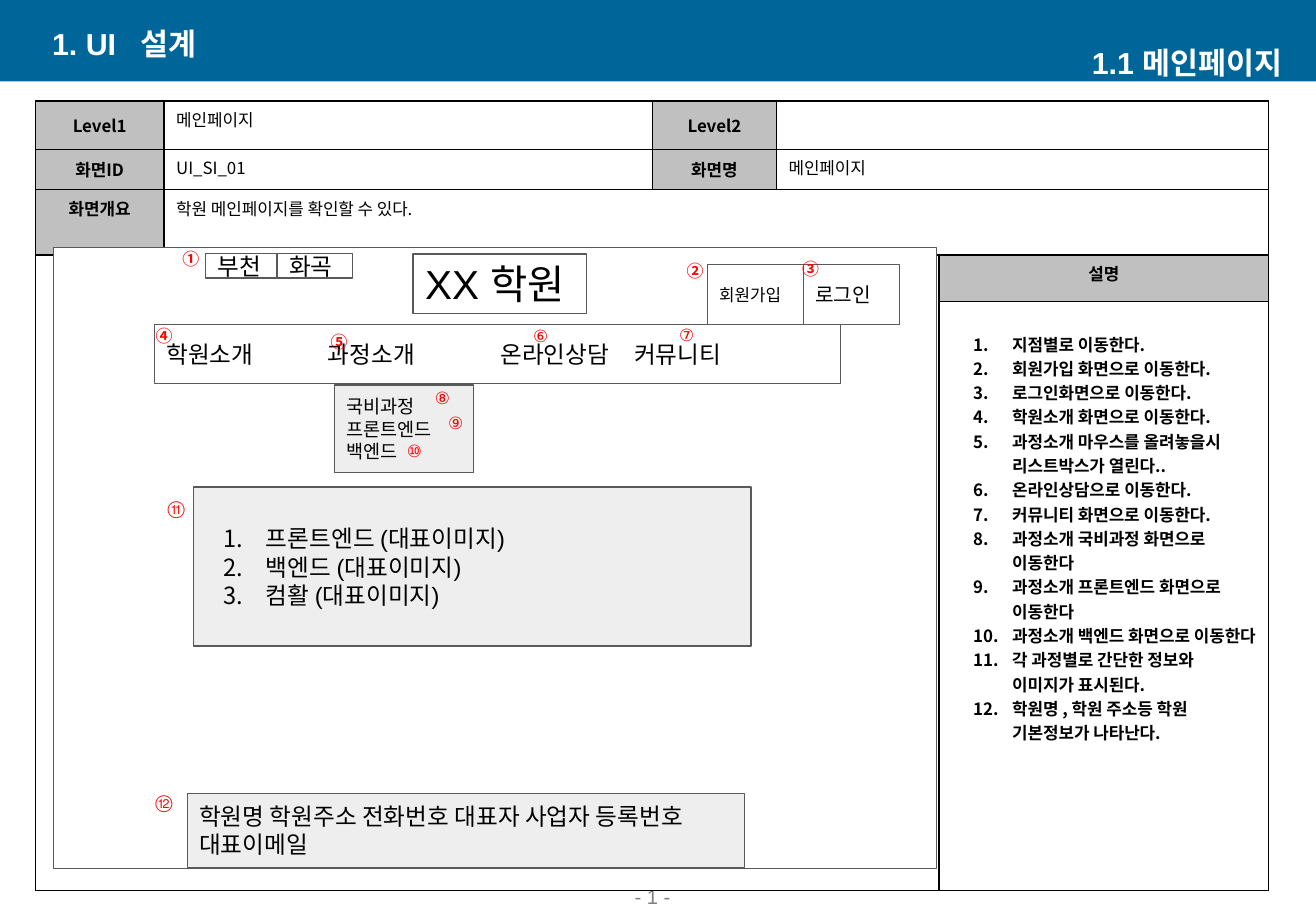
from lxml import etree
from pptx import Presentation, util as u
from pptx.dml.color import RGBColor
from pptx.enum import shapes, text
from pptx.oxml.ns import qn

BLUE = RGBColor(0x00, 0x66, 0x99)
WHITE = RGBColor(0xFF, 0xFF, 0xFF)
BLACK = RGBColor(0, 0, 0)
RED = RGBColor(0xFF, 0, 0)
GRAY = RGBColor(0x80, 0x80, 0x80)
HEAD_GRAY = RGBColor(0xC0, 0xC0, 0xC0)
PANEL_GRAY = RGBColor(0xEE, 0xEE, 0xEE)
OUTLINE = RGBColor(0x59, 0x59, 0x59)
ARIAL, NOTO = "Arial", "Noto Sans CJK KR"
LEFT, CENTER, RIGHT = (text.PP_ALIGN.LEFT, text.PP_ALIGN.CENTER, text.PP_ALIGN.RIGHT)
TOP, MIDDLE, BOTTOM = (text.MSO_ANCHOR.TOP, text.MSO_ANCHOR.MIDDLE,
                       text.MSO_ANCHOR.BOTTOM)

COLUMNS = [1.06, 4.02, 1.02, 1.34, 2.71]
ROWS = [0.38, 0.33, 0.54, 0.38, 4.85]
MERGES = [(0, 3, 0, 4), (1, 3, 1, 4), (2, 1, 2, 4), (3, 0, 4, 3)]
# row, column, words, anchor
HEADINGS = [(0, 0, "Level1", MIDDLE), (0, 2, "Level2", MIDDLE),
            (1, 0, "화면ID", MIDDLE), (1, 2, "화면명", MIDDLE),
            (2, 0, "화면개요", TOP), (3, 4, "설명", TOP)]
VALUES = [(0, 1, "메인페이지"), (1, 1, "UI_SI_01"), (1, 3, "메인페이지"),
          (2, 1, "학원 메인페이지를 확인할 수 있다.")]
DESCRIPTIONS = [
    "지점별로 이동한다.",
    "회원가입 화면으로 이동한다.",
    "로그인화면으로 이동한다.",
    "학원소개 화면으로 이동한다.",
    "과정소개 마우스를 올려놓을시 리스트박스가 열린다..",
    "온라인상담으로 이동한다.",
    "커뮤니티 화면으로 이동한다.",
    "과정소개 국비과정 화면으로 이동한다",
    "과정소개 프론트엔드 화면으로 이동한다",
    "과정소개 백엔드 화면으로 이동한다",
    "각 과정별로 간단한 정보와 이미지가 표시된다.",
    "학원명 , 학원 주소등 학원 기본정보가 나타난다.",
]
COURSES = ["프론트엔드 (대표이미지)", "백엔드 (대표이미지)", "컴활 (대표이미지)"]

# left, top, width, height, fill, lines, text format
PANELS = [
    (0.44, 2.04, 7.27, 5.11, WHITE, [], {}),
    (3.4, 2.09, 1.43, 0.49, WHITE, ["XX 학원"], dict(size=24)),
    (1.27, 2.67, 5.65, 0.49, WHITE, ["학원소개\t과정소개\t온라인상담\t커뮤니티"],
     dict(size=14, tabs=(1.33, 2.75, 3.85))),
    (5.82, 2.18, 0.79, 0.49, WHITE, ["회원가입"], dict(size=10)),
    (6.61, 2.18, 0.79, 0.49, WHITE, ["로그인"], dict(size=12)),
    (2.75, 3.17, 1.15, 0.72, PANEL_GRAY, ["국비과정", "프론트엔드", "백엔드"],
     dict(size=11)),
    (1.69, 2.09, 0.62, 0.2, WHITE, ["부천"], dict(size=14)),
    (2.28, 2.09, 0.62, 0.2, WHITE, ["화곡"], dict(size=14)),
    (1.59, 4.01, 4.59, 1.31, PANEL_GRAY, COURSES, dict(size=14, hanging=0.35)),
    (1.54, 6.53, 4.59, 0.61, PANEL_GRAY,
     ["학원명 학원주소 전화번호 대표자 사업자 등록번호 대표이메일"], dict(size=14)),
]
# sign, left, top, inset, bold
MARKERS = [
    ("①", 1.4, 1.96, 0.1, True), ("②", 5.55, 2.1, 0.05, True),
    ("③", 6.5, 2.08, 0.05, True), ("④", 1.18, 2.63, 0.05, True),
    ("⑤", 2.62, 2.68, 0.05, True), ("⑥", 4.28, 2.6, 0.1, False),
    ("⑦", 5.48, 2.59, 0.1, False), ("⑧", 3.47, 3.11, 0.1, False),
    ("⑨", 3.58, 3.31, 0.1, False), ("⑩", 3.24, 3.54, 0.1, False),
    ("⑪", 1.28, 4.01, 0.1, False), ("⑫", 1.18, 6.43, 0.1, False),
]


def write(frame, lines, size=10, font=ARIAL, color=BLACK, bold=False,
          align=LEFT, hanging=None, tabs=()):
    """Fill a text frame; hanging numbers the lines, tabs are stops in inches."""
    for index, line in enumerate(lines):
        para = frame.paragraphs[0] if index == 0 else frame.add_paragraph()
        para.alignment = align
        properties = para._p.get_or_add_pPr()
        if hanging:
            properties.set("marL", str(u.Inches(0.5)))
            properties.set("indent", str(-u.Inches(hanging)))
            tint = etree.SubElement(properties, qn("a:buClr"))
            etree.SubElement(tint, qn("a:srgbClr"), val=str(color))
            etree.SubElement(properties, qn("a:buAutoNum"), type="arabicPeriod")
        if tabs:
            stops = etree.SubElement(properties, qn("a:tabLst"))
            for stop in tabs:
                etree.SubElement(stops, qn("a:tab"), pos=str(u.Inches(stop)), algn="l")
        span = para.add_run()
        span.text = line
        span.font.size = u.Pt(size)
        span.font.name = font
        span.font.bold = bold
        span.font.color.rgb = color
        etree.SubElement(span._r.get_or_add_rPr(), qn("a:ea"), typeface=NOTO)


def set_frame(frame, inset, anchor):
    frame.word_wrap = True
    frame.vertical_anchor = anchor
    frame.margin_top = frame.margin_bottom = u.Inches(inset)
    frame.margin_left = frame.margin_right = u.Inches(0.1)


def add_label(page, left, top, width, height, line, inset=0.05, anchor=MIDDLE,
              **style):
    box = page.shapes.add_textbox(*map(u.Inches, (left, top, width, height)))
    set_frame(box.text_frame, inset, anchor)
    write(box.text_frame, [line], **style)


def add_panel(page, left, top, width, height, fill, lines=(), outline=OUTLINE,
              **style):
    box = page.shapes.add_shape(shapes.MSO_SHAPE.RECTANGLE,
                                *map(u.Inches, (left, top, width, height)))
    box.shadow.inherit = False
    box.fill.solid()
    box.fill.fore_color.rgb = fill
    if outline is None:
        box.line.fill.background()
    else:
        box.line.color.rgb = outline
        box.line.width = u.Pt(0.75)
    set_frame(box.text_frame, 0.1, MIDDLE)
    write(box.text_frame, lines, **style)


def add_borders(cell):
    properties = cell._tc.get_or_add_tcPr()
    for side in ("lnL", "lnR", "lnT", "lnB"):
        edge = etree.SubElement(properties, qn(f"a:{side}"), w=str(u.Pt(1)))
        paint = etree.SubElement(edge, qn("a:solidFill"))
        etree.SubElement(paint, qn("a:srgbClr"), val=str(BLACK))


def add_spec_table(page):
    table = page.shapes.add_table(
        len(ROWS), len(COLUMNS), u.Inches(0.29), u.Inches(0.83),
        u.Inches(sum(COLUMNS)), u.Inches(sum(ROWS))).table
    table.first_row = table.horz_banding = False
    for column, width in zip(table.columns, COLUMNS):
        column.width = u.Inches(width)
    for row, height in zip(table.rows, ROWS):
        row.height = u.Inches(height)
    for cell in table.iter_cells():
        add_borders(cell)
        cell.fill.background()
    for top, left, bottom, right in MERGES:
        table.cell(top, left).merge(table.cell(bottom, right))
    for row, column, words, anchor in HEADINGS:
        cell = table.cell(row, column)
        cell.fill.solid()
        cell.fill.fore_color.rgb = HEAD_GRAY
        cell.vertical_anchor = anchor
        write(cell.text_frame, [words], font=NOTO, bold=True, align=CENTER)
    for row, column, words in VALUES:
        write(table.cell(row, column).text_frame, [words], font=NOTO)
    notes = table.cell(4, 4)
    notes.margin_top = u.Inches(0.25)
    write(notes.text_frame, DESCRIPTIONS, font=NOTO, bold=True, hanging=0.32)


def main():
    deck = Presentation()
    deck.slide_width, deck.slide_height = u.Inches(10.83), u.Inches(7.5)
    page = deck.slides.add_slide(deck.slide_layouts[6])

    add_panel(page, 0, 0, 10.83, 0.67, BLUE, outline=None)
    add_label(page, 4.24, 7.3, 2.26, 0.23, "- 1 -", anchor=BOTTOM, size=12,
              color=GRAY, align=CENTER)
    title = dict(size=18, color=WHITE, bold=True)
    add_label(page, 0.33, 0.19, 4.38, 0.33, "1. UI\t설계", tabs=(0.73,), **title)
    add_label(page, 6.45, 0.35, 4.2, 0.33, "1.1 메인페이지", align=RIGHT, **title)

    add_spec_table(page)
    for *place, fill, lines, style in PANELS:
        add_panel(page, *place, fill, lines, **style)
    for sign, left, top, inset, bold in MARKERS:
        add_label(page, left, top, 0.34, 0.17 + 2 * inset, sign, inset=inset,
                  anchor=TOP, font=NOTO if bold else ARIAL, color=RED,
                  bold=bold, align=CENTER)
    deck.save("out.pptx")


if __name__ == "__main__":
    main()
